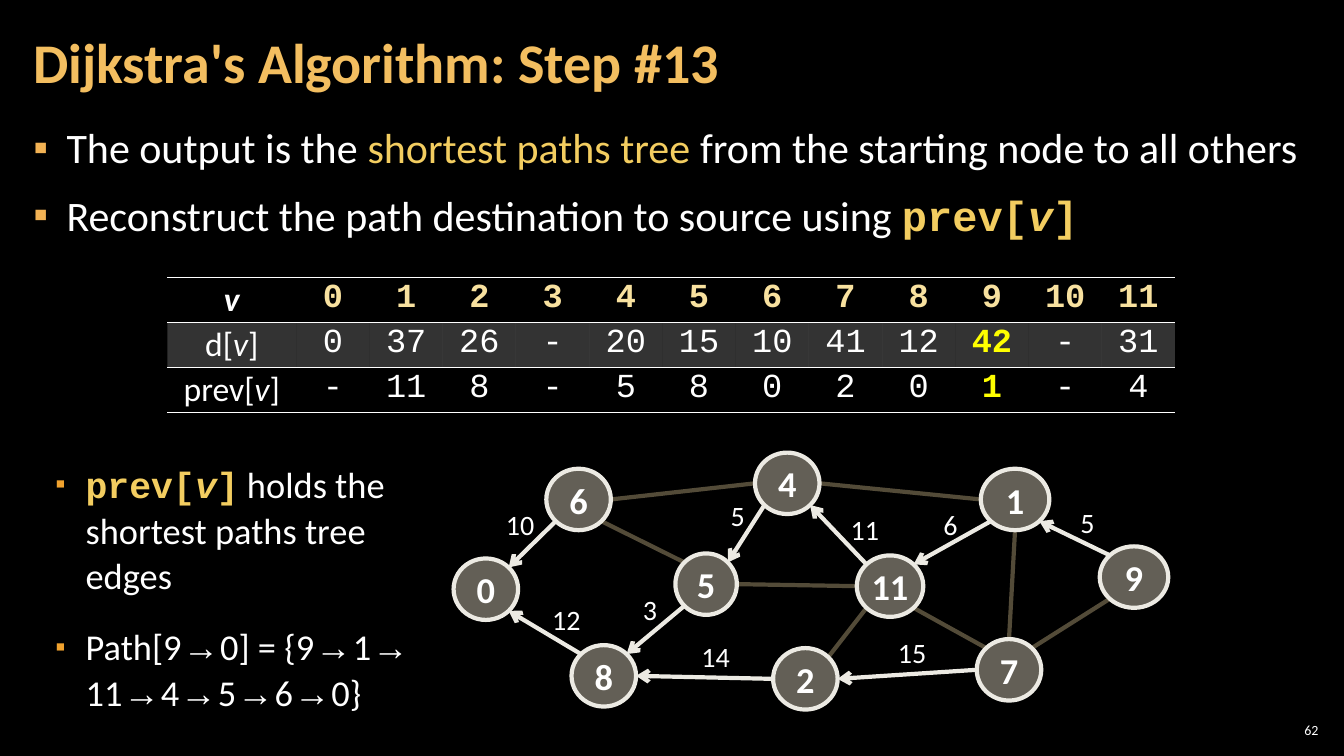
from math import cos, radians, sin

from lxml.etree import SubElement
from pptx import Presentation
from pptx.dml.color import RGBColor
from pptx.enum.shapes import MSO_CONNECTOR as CONN, MSO_SHAPE as SHAPE
from pptx.enum.text import MSO_ANCHOR as ANCHOR, MSO_AUTO_SIZE as AUTO, PP_ALIGN as ALIGN
from pptx.oxml.ns import qn
from pptx.util import Inches, Pt

WIDE, TALL = 133.33, 75
WHITE, GOLD, PALE, YELLOW = "FFFFFF", "F3CD60", "F8E19F", "FFFF00"
IVORY, BROWN, STONE = "ECEAE3", "534B38", "C7BFAC"
SANS, MONO = "Calibri", "Courier New"
NO_STYLE = "{2D5ABB26-0587-4C30-8999-92F81FD0307C}"

CODE = dict(font=MONO, color=GOLD, bold=True)
PREV = [("prev[", CODE), ("v", dict(CODE, italic=True)), ("]", CODE)]
BULLETS = [
    [("The output is the ", {}), ("shortest paths tree ", dict(color=GOLD)),
     ("from the starting node to all others", {})],
    [("Reconstruct the path destination to source using ", {})] + PREV,
]
PATH = ["Path[9 ", "→", " 0] = {9 ", "→", " 1 ", "→", " 11 ", "→", " 4 ", "→",
        " 5 ", "→", " 6 ", "→", " 0}"]
SIDE_NOTES = [
    PREV + [(" holds the shortest paths tree edges", {})],
    [(t, dict(font=MONO if t == "→" else SANS)) for t in PATH],
]

DISTANCES = ["0", "37", "26", "-", "20", "15", "10", "41", "12", "42", "-", "31"]
PREVIOUS = ["-", "11", "8", "-", "5", "8", "0", "2", "0", "1", "-", "4"]
CURRENT = 9

NODE_TALL = 6.1
NODES = {
    11: (40, 10.2, 6.6), 4: (29.9, 0, 6.4), 5: (22, 10, 6.1), 2: (31.7, 19.4, 6.4),
    6: (9.2, 1.6, 6.4), 0: (0, 10.5, 6.4), 8: (11.7, 19.1, 6.4), 7: (51.9, 18.5, 6.4),
    1: (52.3, 1.6, 6.8), 9: (64.1, 9.3, 6.8),
}
ANGLES = {d: 45 * i for i, d in enumerate(["E", "SE", "S", "SW", "W", "NW", "N", "NE"])}
OTHER_EDGES = [
    (4, "E", 1, "W"), (5, "E", 11, "W"), (6, "E", 4, "W"), (5, "NW", 6, "SE"),
    (11, "SE", 7, "NW"), (2, "NE", 11, "SW"), (7, "N", 1, "S"), (9, "SW", 7, "NE"),
]
TREE_EDGES = [
    (1, "SW", 11, "NE", "6", 47.6, 5), (11, "NW", 4, "SE", "11", 38.4, 5.5),
    (4, "SW", 5, "NE", "5", 26.5, 4.1), (2, "W", 8, "E", "14", 23.6, 18.1),
    (5, "SW", 8, "NE", "3", 17.8, 13.4), (6, "SW", 0, "NE", "10", 4.2, 5),
    (7, "W", 2, "E", "15", 43.1, 17.7), (8, "NW", 0, "SE", "12", 8.8, 14.4),
    (9, "NW", 1, "SE", "5", 61.2, 4.8),
]


def grid(*cells):
    return [Inches(c / 10) for c in cells]


def rgb(value):
    return RGBColor.from_string(value)


def add_run(p, text, size, font=SANS, color=WHITE, bold=False, italic=False):
    r = p.add_run()
    r.text = text
    r.font.name, r.font.size = font, Pt(size)
    r.font.bold, r.font.italic = bold, italic
    r.font.color.rgb = rgb(color)


def set_frame(tf, x, y, anchor=ANCHOR.TOP, wrap=True):
    tf.margin_left = tf.margin_right = Inches(x)
    tf.margin_top = tf.margin_bottom = Inches(y)
    tf.vertical_anchor, tf.word_wrap, tf.auto_size = anchor, wrap, AUTO.NONE


def set_alpha(fill_parent, percent):
    color = fill_parent.find(qn("a:solidFill"))[0]
    SubElement(color, qn("a:alpha"), val=str(percent * 1000))


def add_bullet(p, indent, color, percent):
    pPr = p._p.get_or_add_pPr()
    pPr.set("marL", str(Inches(indent)))
    pPr.set("indent", str(-Inches(indent)))
    SubElement(SubElement(pPr, qn("a:buClr")), qn("a:srgbClr"), val=color)
    SubElement(pPr, qn("a:buSzPct"), val=str(percent * 1000))
    SubElement(pPr, qn("a:buFont"), typeface="Arial")
    SubElement(pPr, qn("a:buChar"), char="▪")


def add_title(s, box):
    title = s.shapes.title
    title.left, title.top, title.width, title.height = grid(*box)
    set_frame(title.text_frame, 0.12, 0.04, ANCHOR.MIDDLE)
    p = title.text_frame.paragraphs[0]
    p.alignment, p.line_spacing = ALIGN.LEFT, 0.9
    add_run(p, "Dijkstra's Algorithm: Step #13", 40, color="F3BE60", bold=True)


def add_bullets(s, box, items, size, indent, color, percent=100, before=6, spacing=1.0):
    tf = s.shapes.add_textbox(*grid(*box)).text_frame
    set_frame(tf, 0.12, 0.04)
    for i, runs in enumerate(items):
        p = tf.add_paragraph() if i else tf.paragraphs[0]
        add_bullet(p, indent, color, percent)
        p.line_spacing, p.space_after = spacing, Pt(6)
        p.space_before = Pt(before if i else 0)
        for text, style in runs:
            add_run(p, text, size, **style)


def add_border(cell, side, place):
    tcPr = cell._tc.get_or_add_tcPr()
    ln = SubElement(tcPr, qn(side), w=str(Pt(1)))
    SubElement(SubElement(ln, qn("a:solidFill")), qn("a:srgbClr"), val=WHITE)
    tcPr.insert(place, ln)


def fill_cell(cell, runs, shaded):
    cell.margin_left = cell.margin_right = Inches(0.04)
    cell.margin_top = cell.margin_bottom = Inches(0.02)
    if shaded:
        cell.fill.solid()
        cell.fill.fore_color.rgb = rgb(WHITE)
        set_alpha(cell._tc.tcPr, 20)
    else:
        cell.fill.background()
    add_border(cell, "a:lnT", 0)
    add_border(cell, "a:lnB", 1)
    p = cell.text_frame.paragraphs[0]
    p.alignment = ALIGN.CENTER
    for text, style in runs:
        add_run(p, text, 24, **style)


def add_distance_table(s, box):
    head = dict(font=MONO, color=PALE, bold=True)
    rows = [[[("v", dict(bold=True, italic=True))]] + [[(str(v), head)] for v in range(12)]]
    for name, values in (("d[", DISTANCES), ("prev[", PREVIOUS)):
        rows.append([[(name, {}), ("v", dict(italic=True)), ("]", {})]])
        for v, value in enumerate(values):
            mark = dict(color=YELLOW, bold=True) if v == CURRENT else {}
            rows[-1].append([(value, dict(mark, font=MONO))])
    table = s.shapes.add_table(3, 13, *grid(*box)).table
    table.first_row = table.horz_banding = False
    table._tbl.tblPr.find(qn("a:tableStyleId")).text = NO_STYLE
    first = 12.8
    for c, column in enumerate(table.columns):
        column.width, = grid((box[2] - first) / 12 if c else first)
    for r, row in enumerate(rows):
        for c, runs in enumerate(row):
            fill_cell(table.cell(r, c), runs, r == 1)


def rim_point(box, node, side):
    x, y, w = NODES[node]
    a = radians(ANGLES[side])
    return grid(box[0] + x + w / 2 * (1 + cos(a)),
                box[1] + y + NODE_TALL / 2 * (1 + sin(a)))


def add_edge(s, box, start, leave, end, enter, color, arrow):
    edge = s.shapes.add_connector(CONN.STRAIGHT, *rim_point(box, start, leave),
                                  *rim_point(box, end, enter))
    edge.line.color.rgb, edge.line.width = rgb(color), Pt(3)
    spPr = edge._element.spPr
    if arrow:
        SubElement(spPr.find(qn("a:ln")), qn("a:tailEnd"), type="arrow")
    SubElement(spPr, qn("a:effectLst"))


def add_node(s, box, node):
    x, y, w = NODES[node]
    sp = s.shapes.add_shape(SHAPE.OVAL, *grid(box[0] + x, box[1] + y, w, NODE_TALL))
    sp.shadow.inherit = False
    sp.fill.solid()
    sp.fill.fore_color.rgb = rgb(STONE)
    set_alpha(sp._element.spPr, 50)
    sp.line.color.rgb, sp.line.width = rgb(IVORY), Pt(3)
    set_frame(sp.text_frame, 0.04, 0.05, ANCHOR.MIDDLE, wrap=False)
    p = sp.text_frame.paragraphs[0]
    p.alignment = ALIGN.CENTER
    add_run(p, str(node), 26, bold=True)


def add_graph(s, box):
    for edge in OTHER_EDGES:
        add_edge(s, box, *edge, BROWN, False)
    for edge in TREE_EDGES:
        add_edge(s, box, *edge[:4], IVORY, True)
    for node in NODES:
        add_node(s, box, node)
    for *_, weight, x, y in TREE_EDGES:
        wide = 1.9 + 1.5 * len(weight)
        tf = s.shapes.add_textbox(*grid(box[0] + x, box[1] + y, wide, 4.4)).text_frame
        set_frame(tf, 0.1, 0.05, wrap=False)
        add_run(tf.paragraphs[0], weight, 20)


def add_page_number(s, box):
    tf = s.shapes.add_textbox(*grid(*box)).text_frame
    set_frame(tf, 0.04, 0.04, ANCHOR.MIDDLE)
    tf.paragraphs[0].alignment = ALIGN.RIGHT
    add_run(tf.paragraphs[0], "62", 10)


def main():
    prs = Presentation()
    prs.slide_width, prs.slide_height = grid(WIDE, TALL)
    s = prs.slides.add_slide(prs.slide_layouts[5])
    s.background.fill.solid()
    s.background.fill.fore_color.rgb = rgb("000000")
    add_page_number(s, (126.5, 71.4, 4.7, 2.1))
    add_bullets(s, (2.1, 11.7, 129.1, 60.9), BULLETS, 30, 0.33, "F2B254")
    add_title(s, (2.1, 0.4, 104.7, 12.1))
    add_distance_table(s, (16.6, 27.5, 100, 13.2))
    add_graph(s, (45, 44.9))
    add_bullets(s, (4.3, 45.2, 37.7, 26.5), SIDE_NOTES, 26, 0.3, "F0A22E", 80, 12, 1.05)
    prs.save("out.pptx")


if __name__ == "__main__":
    main()
